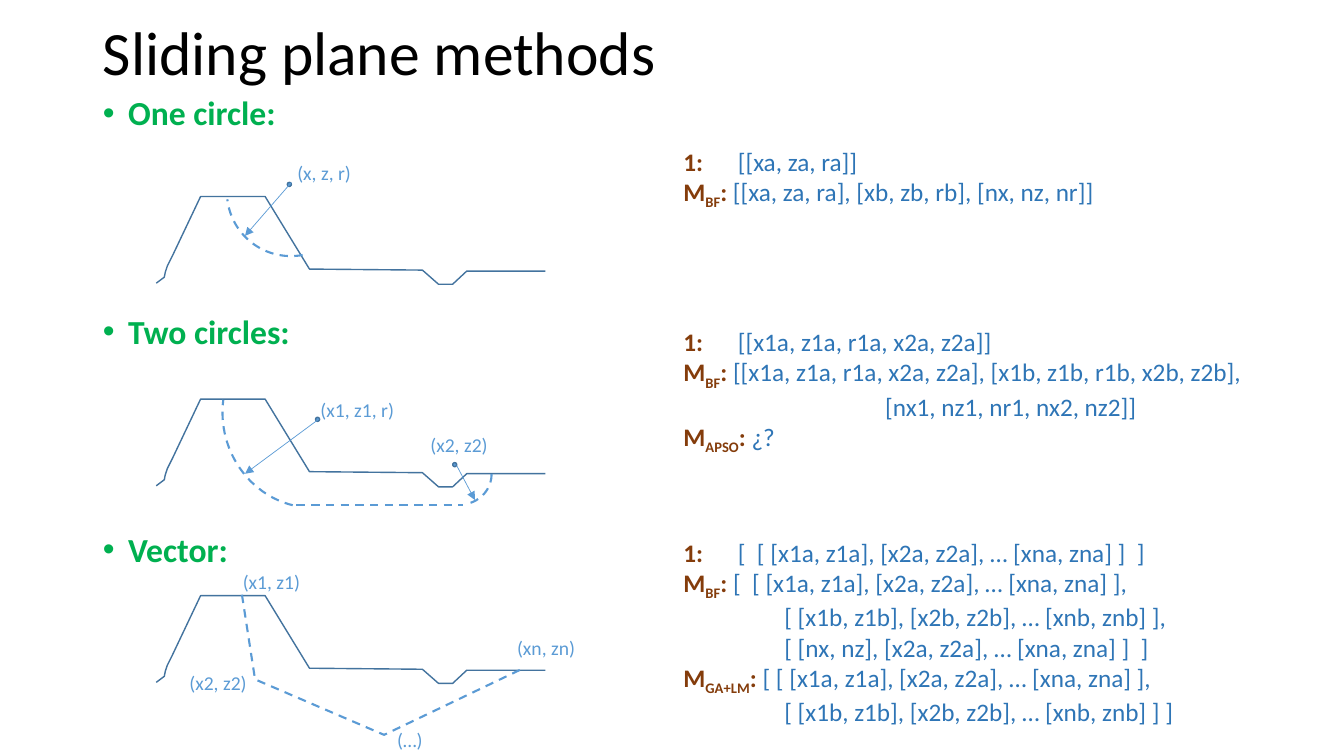
from lxml import etree
from pptx import Presentation
from pptx.dml.color import RGBColor
from pptx.enum.dml import MSO_LINE
from pptx.enum.shapes import MSO_CONNECTOR, MSO_SHAPE
from pptx.enum.text import MSO_ANCHOR, MSO_AUTO_SIZE, PP_ALIGN
from pptx.oxml.ns import qn
from pptx.util import Inches, Pt

DASH, STRAIGHT = MSO_LINE.DASH, MSO_CONNECTOR.STRAIGHT
ARC, OVAL = MSO_SHAPE.ARC, MSO_SHAPE.OVAL
BLACK = RGBColor(0x00, 0x00, 0x00)
GREEN = RGBColor(0x00, 0xB0, 0x50)
BLUE = RGBColor(0x5B, 0x9B, 0xD5)
SLATE = RGBColor(0x43, 0x73, 0x9E)
BROWN = RGBColor(0x84, 0x3C, 0x0B)
VALUE_BLUE = RGBColor(0x2E, 0x75, 0xB6)
FONT = "Calibri"

# Content
TITLE = "Sliding plane methods"
METHODS = ["One circle:", "Two circles:", "Vector:"]

# Formula blocks: left, top, width, height; rows of (head, subscript, values, indent)
FORMULAS = [
    ((6.68, 1.4, 4.53, 0.71), [
        ("1:", "", "[[xa, za, ra]]", 0),
        ("M", "BF", "[[xa, za, ra], [xb, zb, rb], [nx, nz, nr]]", 0)]),
    ((6.68, 3.19, 5.92, 1.31), [
        ("1:", "", "[[x1a, z1a, r1a, x2a, z2a]]", 0),
        ("M", "BF", "[[x1a, z1a, r1a, x2a, z2a], [x1b, z1b, r1b, x2b, z2b],", 0),
        ("", "", "[nx1, nz1, nr1, nx2, nz2]]", 2),
        ("M", "APSO", "¿?", 0)]),
    ((6.68, 5.28, 5.22, 1.92), [
        ("1:", "", "[  [ [x1a, z1a], [x2a, z2a], … [xna, zna] ]  ]", 0),
        ("M", "BF", "[  [ [x1a, z1a], [x2a, z2a], … [xna, zna] ],", 0),
        ("", "", "[ [x1b, z1b], [x2b, z2b], … [xnb, znb] ],", 1),
        ("", "", "[ [nx, nz], [x2a, z2a], … [xna, zna] ]  ]", 1),
        ("M", "GA+LM", "[ [ [x1a, z1a], [x2a, z2a], … [xna, zna] ],", 0),
        ("", "", "[ [x1b, z1b], [x2b, z2b], … [xnb, znb] ] ]", 1)]),
]
VALUE_TAB = 0.54

# Ground profile: x, and depth below the crest
CREST_TOPS = [1.95, 3.96, 5.91]
PROFILE = [(1.55, 0.86), (1.63, 0.8), (1.64, 0.75), (1.66, 0.69), (1.69, 0.63),
           (1.71, 0.59), (1.99, 0), (2.63, 0), (3.07, 0.72), (4.19, 0.73),
           (4.35, 0.87), (4.49, 0.87), (4.63, 0.74), (5.41, 0.74)]
VECTOR_PLANE = [(2.4, 5.9), (2.53, 6.74), (3.81, 7.29), (5.17, 6.64)]

# Slip arcs: place, rotation, start and end angle in degrees
ARCS = [((2.25, 1.27, 1.27, 1.27), 165, (274.5, 8.5)),
        ((2.21, 3.2, 1.73, 1.84), 165, (295.9, 25.1)),
        ((4.31, 4.43, 0.55, 0.59), 60, (295.9, 25.1))]
CENTRES = [(2.87, 1.83), (3.15, 4.16), (4.51, 4.61)]
DOT = 0.04
RADII = [((2.89, 1.81), (2.43, 2.34)), ((3.16, 4.16), (2.43, 4.7)),
         ((4.53, 4.62), (4.71, 4.96))]
SLIP_BASE = ((2.94, 5.01), (4.59, 5.01))
LABELS = [("(x, z, r)", 2.85, 1.55), ("(x1, z1, r)", 3.08, 3.9), ("(x2, z2)", 4.17, 4.25),
          ("(x1, z1)", 2.31, 5.61), ("(x2, z2)", 1.78, 6.61), ("(xn, zn)", 5.03, 6.26),
          ("(…)", 3.84, 7.17)]

deck = Presentation()
deck.slide_width, deck.slide_height = Inches(13.33), Inches(7.5)
page = deck.slides.add_slide(deck.slide_layouts[1])


def inches(values):
    return [Inches(v) for v in values]


def place(shape, spot):
    shape.left, shape.top, shape.width, shape.height = inches(spot)


def add_span(para, text, size, color, bold=False):
    span = para.add_run()
    span.text = text
    span.font.name, span.font.size, span.font.bold = FONT, Pt(size), bold
    span.font.color.rgb = color
    return span


def add_box(spot):
    frame = page.shapes.add_textbox(*inches(spot)).text_frame
    frame.word_wrap = True
    return frame


def style_line(shape, color, width, dash=None):
    shape.line.color.rgb, shape.line.width = color, Pt(width)
    if dash is not None:
        shape.line.dash_style = dash


def add_outline(points, color, width, dash=None):
    corners = [tuple(inches(point)) for point in points]
    builder = page.shapes.build_freeform(*corners[0])
    builder.add_line_segments(corners[1:], close=False)
    outline = builder.convert_to_shape()
    outline.shadow.inherit = False
    outline.fill.background()
    style_line(outline, color, width, dash)


def add_line(ends, width, dash=None, arrow=False):
    line = page.shapes.add_connector(STRAIGHT, *inches(ends[0] + ends[1]))
    style_line(line, BLUE, width, dash)
    if arrow:
        etree.SubElement(line.line._get_or_add_ln(), qn("a:tailEnd"), type="triangle")
    etree.SubElement(line._element.spPr, qn("a:effectLst"))


# Title
title = page.shapes.title
place(title, (0.92, -0.17, 11.5, 1.45))
title.text_frame.vertical_anchor = MSO_ANCHOR.MIDDLE
para = title.text_frame.paragraphs[0]
para.alignment, para.line_spacing = PP_ALIGN.LEFT, 0.9
add_span(para, TITLE, 44, BLACK)

# Method bullets, one above each diagram
body = page.placeholders[1]
place(body, (0.92, 0.91, 11.5, 5.95))
body.text_frame.auto_size = MSO_AUTO_SIZE.NONE
for i, method in enumerate(METHODS):
    para = body.text_frame.add_paragraph() if i else body.text_frame.paragraphs[0]
    para.line_spacing, para.space_before = 0.9, Pt(130 if i else 10)
    props = para._p.get_or_add_pPr()
    props.set("marL", str(Inches(0.25)))
    props.set("indent", str(-Inches(0.25)))
    add_span(para, method, 24, GREEN, True)

# Ground profiles and sliding planes
for top in CREST_TOPS:
    add_outline([(x, top + depth) for x, depth in PROFILE], SLATE, 1)
for spot, turn, angles in ARCS:
    arc = page.shapes.add_shape(ARC, *inches(spot))
    arc.rotation = turn
    arc.shadow.inherit = False
    arc.fill.background()
    for i, angle in enumerate(angles):
        arc.adjustments[i] = angle * 0.6  # 60000 units a degree, shares of 100000
    style_line(arc, BLUE, 1.5, DASH)
add_line(SLIP_BASE, 1.5, DASH)
add_outline(VECTOR_PLANE, BLUE, 1.5, DASH)

# Circle centres and radii
for x, y in CENTRES:
    dot = page.shapes.add_shape(OVAL, *inches((x - DOT / 2, y - DOT / 2, DOT, DOT)))
    dot.shadow.inherit = False
    dot.fill.solid()
    dot.fill.fore_color.rgb = BLUE
    style_line(dot, SLATE, 1)
for ends in RADII:
    add_line(ends, 0.5, arrow=True)

# Point labels
for text, left, top in LABELS:
    frame = add_box((left, top, 0.3 + 0.08 * len(text), 0.34))
    add_span(frame.paragraphs[0], text, 14, BLUE)

# Formula blocks
for spot, rows in FORMULAS:
    frame = add_box(spot)
    for i, (head, subscript, values, indent) in enumerate(rows):
        para = frame.add_paragraph() if i else frame.paragraphs[0]
        props = para._p.get_or_add_pPr()
        props.set("marL", str(Inches(indent)))
        if subscript:
            add_span(para, head, 18, BROWN, True)
            lowered = add_span(para, subscript, 18, BROWN, True)
            lowered.font._element.set("baseline", "-25000")
            add_span(para, ": ", 18, BROWN, True)
        elif head:
            tabs = etree.SubElement(props, qn("a:tabLst"))
            etree.SubElement(tabs, qn("a:tab"), pos=str(Inches(VALUE_TAB)), algn="l")
            add_span(para, head + "\t", 18, BROWN, True)
        add_span(para, values, 18, VALUE_BLUE)

deck.save("out.pptx")
